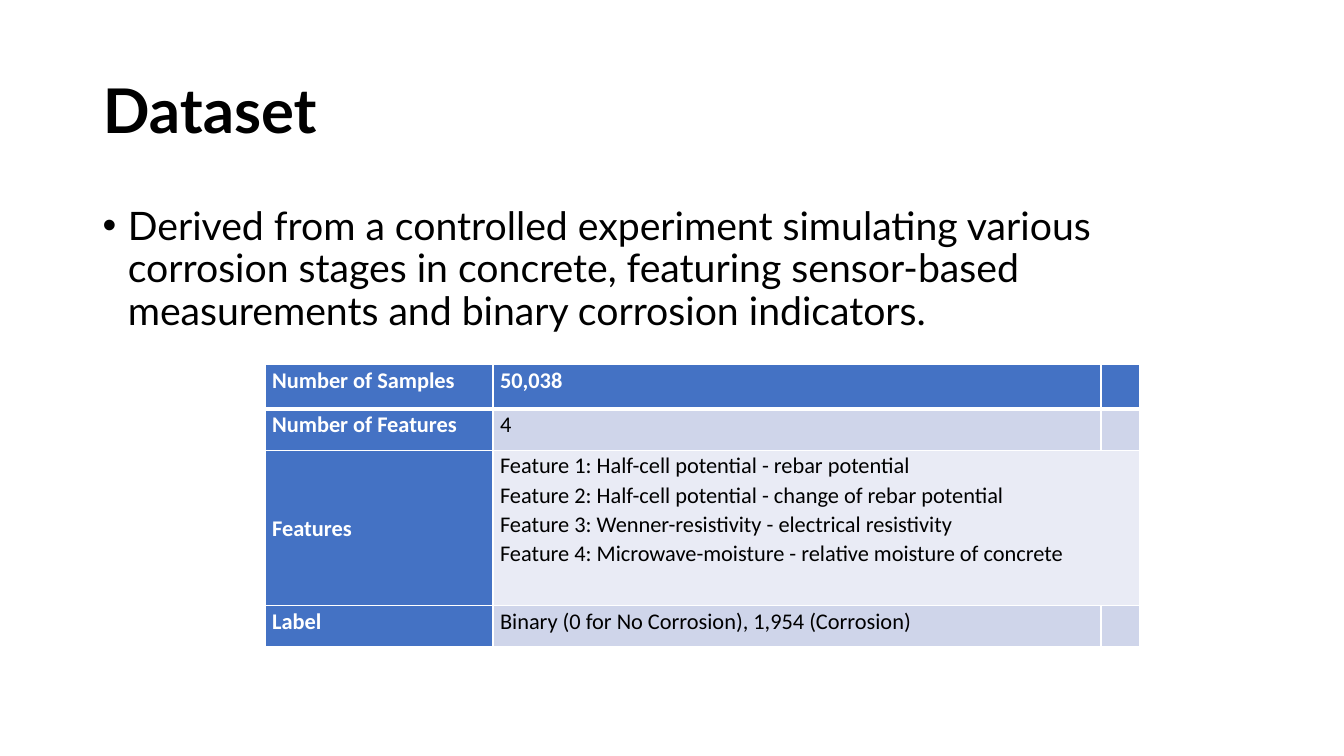
from lxml import etree
from pptx import Presentation
from pptx.dml.color import RGBColor
from pptx.enum.text import MSO_ANCHOR, PP_ALIGN
from pptx.oxml.ns import qn
from pptx.util import Inches, Pt

LEFT = PP_ALIGN.LEFT
TOP = MSO_ANCHOR.TOP
MIDDLE = MSO_ANCHOR.MIDDLE
TITLE_ONLY = 5

BLACK, WHITE = "000000", "FFFFFF"
BLUE, BAND_DARK, BAND_LIGHT = "4472C4", "CFD5EA", "E9EBF5"

COLUMN_WIDTHS = [2.26, 6.03, 0.38]
ROW_HEIGHTS = [0.44, 0.41, 1.54, 0.41]
FEATURES_ROW = 2
DATASET_FACTS = [
    ("Number of Samples", "50,038"),
    ("Number of Features", "4"),
    ("Features", "\n".join([
        "Feature 1: Half-cell potential - rebar potential",
        "Feature 2: Half-cell potential - change of rebar potential",
        "Feature 3: Wenner-resistivity - electrical resistivity",
        "Feature 4: Microwave-moisture - relative moisture of concrete",
    ])),
    ("Label", "Binary (0 for No Corrosion), 1,954 (Corrosion)"),
]


def rgb(color):
    return RGBColor.from_string(color)


def format_text(frame, font_name, size, color, bold, line_spacing):
    for paragraph in frame.paragraphs:
        paragraph.alignment = LEFT
        paragraph.line_spacing = line_spacing
        paragraph.font.size = Pt(size)
        for run in paragraph.runs:
            run.font.name = font_name
            run.font.size = Pt(size)
            run.font.bold = bold
            run.font.color.rgb = rgb(color)


def add_title(slide, text):
    title = slide.shapes.title
    title.left, title.top = Inches(0.92), Inches(0.4)
    title.width, title.height = Inches(11.5), Inches(1.45)
    frame = title.text_frame
    frame.text = text
    frame.vertical_anchor = MIDDLE
    format_text(frame, "Lato", 44, BLACK, True, 0.9)


def add_bullet(slide, text):
    box = slide.shapes.add_textbox(Inches(0.92), Inches(2), Inches(11.5), Inches(1.5))
    frame = box.text_frame
    frame.word_wrap = True
    frame.text = text
    properties = frame.paragraphs[0]._p.get_or_add_pPr()
    properties.set("marL", str(Inches(0.25)))
    properties.set("indent", str(Inches(-0.25)))
    etree.SubElement(properties, qn("a:buFont"), typeface="Arial")
    etree.SubElement(properties, qn("a:buChar"), char="•")
    format_text(frame, "Lato", 28, BLACK, False, 0.9)


def set_borders(cell, top=1, bottom=1):
    """Draw white cell borders; must run before the cell gets its fill."""
    properties = cell._tc.get_or_add_tcPr()
    for side, points in (("L", 1), ("R", 1), ("T", top), ("B", bottom)):
        line = etree.SubElement(properties, qn(f"a:ln{side}"), w=str(Pt(points)))
        fill = etree.SubElement(line, qn("a:solidFill"))
        etree.SubElement(fill, qn("a:srgbClr"), val=WHITE)


def format_cell(cell, row, column):
    is_heading = row == 0 or column == 0
    set_borders(cell, top=3 if row == 1 else 1, bottom=3 if row == 0 else 1)
    cell.fill.solid()
    band = BAND_DARK if row % 2 else BAND_LIGHT
    cell.fill.fore_color.rgb = rgb(BLUE if is_heading else band)
    cell.margin_left = cell.margin_right = Inches(0.07)
    cell.margin_top = cell.margin_bottom = 0
    cell.vertical_anchor = MIDDLE if (row, column) == (FEATURES_ROW, 0) else TOP
    color = WHITE if is_heading else BLACK
    format_text(cell.text_frame, "Calibri", 16, color, is_heading, 1.07)


def add_facts_table(slide):
    table = slide.shapes.add_table(
        len(ROW_HEIGHTS), len(COLUMN_WIDTHS), Inches(2.63), Inches(3.62),
        Inches(sum(COLUMN_WIDTHS)), Inches(sum(ROW_HEIGHTS))).table
    for column, width in zip(table.columns, COLUMN_WIDTHS):
        column.width = Inches(width)
    for row, height in zip(table.rows, ROW_HEIGHTS):
        row.height = Inches(height)
    table.cell(FEATURES_ROW, 1).merge(table.cell(FEATURES_ROW, 2))
    for row, facts in enumerate(DATASET_FACTS):
        for column, fact in enumerate(facts):
            table.cell(row, column).text_frame.text = fact
        for column in range(len(COLUMN_WIDTHS)):
            format_cell(table.cell(row, column), row, column)


def main():
    presentation = Presentation()
    presentation.slide_width = Inches(13.33)
    presentation.slide_height = Inches(7.5)
    slide = presentation.slides.add_slide(presentation.slide_layouts[TITLE_ONLY])
    add_title(slide, "Dataset")
    add_bullet(slide, "Derived from a controlled experiment simulating various "
                      "corrosion stages in concrete, featuring sensor-based "
                      "measurements and binary corrosion indicators.")
    add_facts_table(slide)
    presentation.save("out.pptx")


if __name__ == "__main__":
    main()
